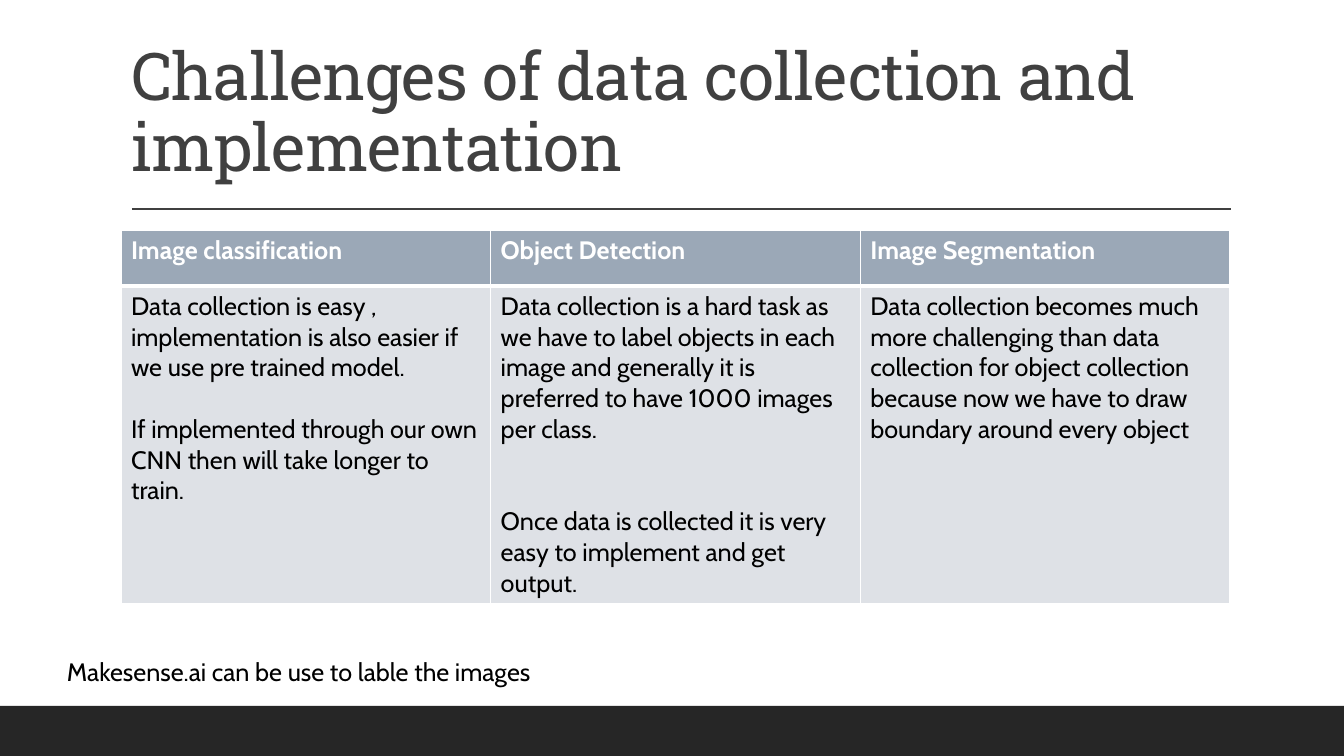
from dataclasses import dataclass

from lxml.etree import SubElement
from pptx import Presentation
from pptx.dml.color import RGBColor
from pptx.enum.shapes import MSO_CONNECTOR as Connector, MSO_SHAPE as Shape
from pptx.enum.text import MSO_ANCHOR as Anchor, MSO_AUTO_SIZE as AutoSize, PP_ALIGN as Align
from pptx.oxml.ns import qn
from pptx.util import Pt

PX = 914400 / 100.8


@dataclass(frozen=True)
class Theme:
    title_font: str = "Roboto Slab"
    body_font: str = "Cabin"
    title_size: int = 47
    body_size: int = 18
    blank_line: int = 22
    ink: str = "000000"
    white: str = "FFFFFF"
    heading: str = "404040"
    bar: str = "262626"
    header_fill: str = "9BA8B7"
    body_fill: str = "DEE1E6"


THEME = Theme()

# Each column: heading, then (blank lines before, paragraph) pairs
COLUMNS = [
    ("Image classification", [
        (0, "Data collection is easy , implementation is also easier if we use pre trained model."),
        (1, "If implemented through our own CNN then will take longer to train."),
    ]),
    ("Object Detection", [
        (0, "Data collection is a hard task as we have to label objects in each image "
            "and generally it is preferred to have 1000 images per class."),
        (2, "Once data is collected it is very easy to implement and get output."),
    ]),
    ("Image Segmentation", [
        (0, "Data collection becomes much more challenging than data collection for object "
            "collection because now we have to draw boundary around every object"),
    ]),
]


def px(*lengths):
    return [round(length * PX) for length in lengths]


def rgb(code):
    return RGBColor.from_string(code)


def write(para, text, *, font=THEME.body_font, size=THEME.body_size, color=THEME.ink,
          bold=False, spacing=None, before=0, line=None):
    para.alignment = Align.LEFT
    if before:
        para.space_before = Pt(before)
    if line:
        para.line_spacing = line
    span = para.add_run()
    span.text = text
    span.font.name = font
    span.font.size = Pt(size)
    span.font.bold = bold
    span.font.color.rgb = rgb(color)
    if spacing:
        span._r.get_or_add_rPr().set("spc", str(round(spacing * 100)))


def set_borders(cell, color, **widths):
    """Widths are points by side: L, R, T, B; they precede the fill."""
    props = cell._tc.get_or_add_tcPr()
    for index, side in enumerate("LRTB"):
        edge = SubElement(props, qn(f"a:ln{side}"), w=str(Pt(widths[side])))
        fill = SubElement(edge, qn("a:solidFill"))
        SubElement(fill, qn("a:srgbClr"), val=color)
        props.insert(index, edge)


def add_title(page, left, top, width, height):
    title = page.shapes.title
    title.left, title.top, title.width, title.height = px(left, top, width, height)
    frame = title.text_frame
    frame.word_wrap = True
    frame.auto_size = AutoSize.NONE
    frame.vertical_anchor = Anchor.BOTTOM
    write(frame.paragraphs[0], "Challenges of data collection and implementation",
          font=THEME.title_font, size=THEME.title_size, color=THEME.heading,
          spacing=-0.5, line=0.9)
    # Rule under the title, inset from the box's left edge
    rule_y = top + height + 18
    rule = page.shapes.add_connector(
        Connector.STRAIGHT, *px(left + 11, rule_y, left + width + 1, rule_y))
    rule.line.color.rgb = rgb(THEME.heading)
    rule.line.width = Pt(1)
    SubElement(rule._element.spPr, qn("a:effectLst"))


def add_comparison(page, left, top, width, height, header_height):
    table = page.shapes.add_table(
        2, len(COLUMNS), *px(left, top, width, height)).table
    table.horz_banding = False
    table.rows[0].height, table.rows[1].height = px(header_height, height - header_height)
    for column, (heading, paragraphs) in enumerate(COLUMNS):
        # Heading cell
        header = table.cell(0, column)
        header.fill.solid()
        header.fill.fore_color.rgb = rgb(THEME.header_fill)
        set_borders(header, THEME.white, L=1, R=1, T=1, B=3)
        write(header.text_frame.paragraphs[0], heading, color=THEME.white, bold=True)
        # Body cell
        body = table.cell(1, column)
        body.fill.solid()
        body.fill.fore_color.rgb = rgb(THEME.body_fill)
        set_borders(body, THEME.white, L=1, R=1, T=3, B=1)
        frame = body.text_frame
        for index, (blanks, text) in enumerate(paragraphs):
            para = frame.add_paragraph() if index else frame.paragraphs[0]
            write(para, text, before=blanks * THEME.blank_line)


def add_note(page, left, top, width, height):
    box = page.shapes.add_textbox(*px(left, top, width, height))
    box.text_frame.word_wrap = True
    box.text_frame.auto_size = AutoSize.SHAPE_TO_FIT_TEXT
    write(box.text_frame.paragraphs[0], "Makesense.ai can be use to lable the images")


def add_bottom_bar(page, left, top, width, height):
    bar = page.shapes.add_shape(Shape.RECTANGLE, *px(left, top, width, height))
    bar.shadow.inherit = False
    bar.fill.solid()
    bar.fill.fore_color.rgb = rgb(THEME.bar)
    bar.line.fill.background()


def main():
    deck = Presentation()
    deck.slide_width, deck.slide_height = px(1344, 756)
    page = deck.slides.add_slide(deck.slide_layouts[5])
    add_bottom_bar(page, 0, 706, 1344, 50)
    add_title(page, 121, 31, 1109, 160)
    add_comparison(page, 121, 230, 1109, 369, header_height=56)
    add_note(page, 57, 651, 677, 40)
    deck.save("out.pptx")


if __name__ == "__main__":
    main()
